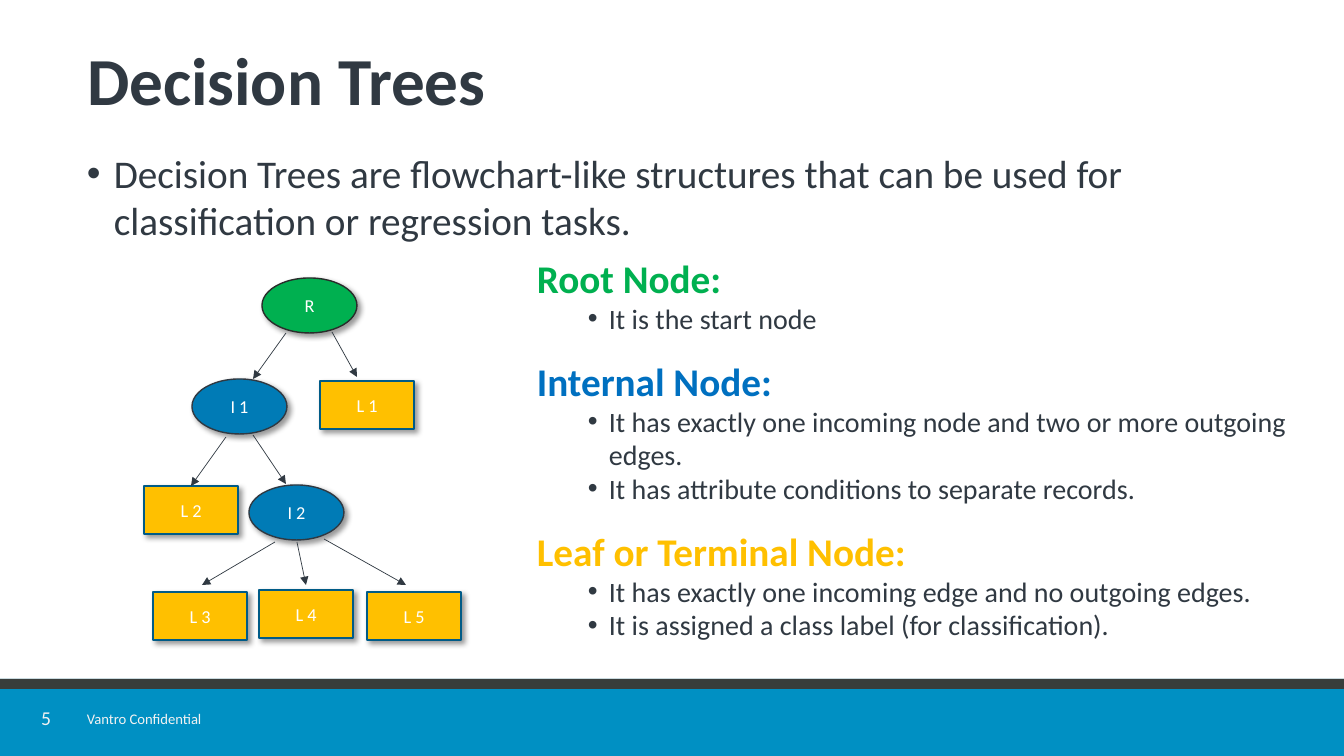
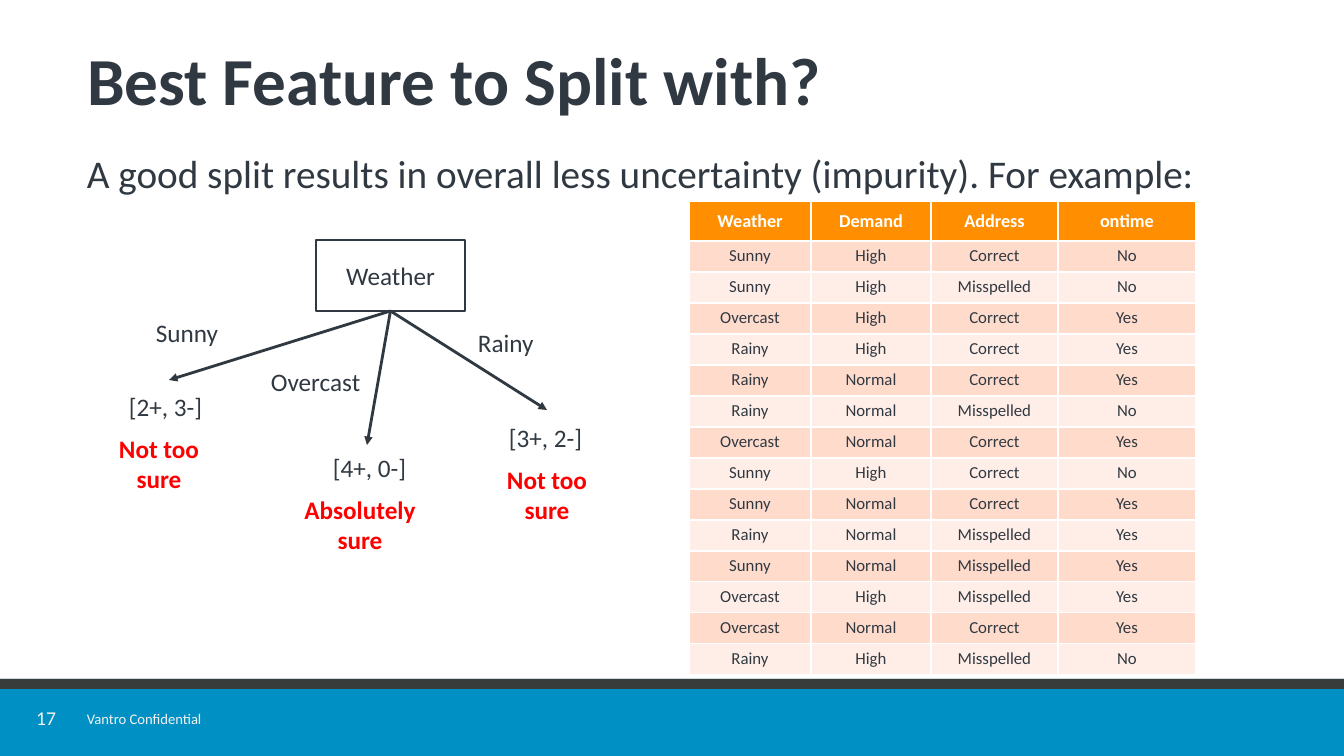
from lxml import etree
from pptx import Presentation
from pptx.dml.color import RGBColor
from pptx.enum.shapes import MSO_CONNECTOR, MSO_SHAPE
from pptx.enum.text import MSO_ANCHOR, PP_ALIGN
from pptx.oxml.ns import qn
from pptx.util import Pt

WIDTH, HEIGHT = 1344, 756
EMU_PER_PX = 12192000 / WIDTH
FONT = "Calibri"
TITLE_ONLY = 5
C = {
    "ink": "303942", "white": "FFFFFF", "footer": "F2F2F2",
    "band": "0090C3", "stripe": "383D3B",
    "root": "00B050", "root_line": "292D2B", "internal": "007BB6",
    "leaf": "FFC000", "leaf_line": "005B87", "internal_head": "0070C0",
    "alert": "FF0000", "table_head": "FF8E00",
    "row_dark": "FFDBCC", "row_light": "FFEEE7", "shadow": "000000",
}

NODE_KINDS = {
    "root": (MSO_SHAPE.OVAL, 95, 55, "root", "root_line"),
    "internal": (MSO_SHAPE.OVAL, 95, 55, "internal", "ink"),
    "leaf": (MSO_SHAPE.RECTANGLE, 94, 48, "leaf", "leaf_line"),
}
NODES = [
    ("R", "root", 262, 278), ("I 1", "internal", 192, 379),
    ("L 1", "leaf", 320, 381), ("L 2", "leaf", 144, 486),
    ("I 2", "internal", 249, 485), ("L 3", "leaf", 153, 592),
    ("L 4", "leaf", 259, 590), ("L 5", "leaf", 367, 592),
]
EDGES = [
    ((286, 333), (253, 379)), ((332, 332), (357, 377)),
    ((253, 435), (286, 484)), ((275, 542), (202, 585)),
    ((297, 542), (306, 585)), ((324, 539), (406, 585)),
]
DEFINITIONS = [
    ("Root Node:", "root", ["It is the start node"]),
    ("Internal Node:", "internal_head", [
        "It has exactly one incoming node and two or more outgoing edges.",
        "It has attribute conditions to separate records."]),
    ("Leaf or Terminal Node:", "leaf", [
        "It has exactly one incoming edge and no outgoing edges.",
        "It is assigned a class label (for classification)."]),
]

# branch label and place, arrow end, counts and place, verdict and left edge
BRANCHES = [
    ("Sunny", 146, 312, (169, 380), "[2+, 3-]", 119, 386, "Not too sure", 90),
    ("Overcast", 261, 361, (367, 445), "[4+, 0-]", 323, 447, "Absolutely sure", 291),
    ("Rainy", 468, 322, (547, 410), "[3+, 2-]", 499, 417, "Not too sure", 478),
]
COLUMN_WIDTHS = [122, 120, 127, 138]
RECORDS = [
    ("Weather", "Demand", "Address", "ontime"),
    ("Sunny", "High", "Correct", "No"),
    ("Sunny", "High", "Misspelled", "No"),
    ("Overcast", "High", "Correct", "Yes"),
    ("Rainy", "High", "Correct", "Yes"),
    ("Rainy", "Normal", "Correct", "Yes"),
    ("Rainy", "Normal", "Misspelled", "No"),
    ("Overcast", "Normal", "Correct", "Yes"),
    ("Sunny", "High", "Correct", "No"),
    ("Sunny", "Normal", "Correct", "Yes"),
    ("Rainy", "Normal", "Misspelled", "Yes"),
    ("Sunny", "Normal", "Misspelled", "Yes"),
    ("Overcast", "High", "Misspelled", "Yes"),
    ("Overcast", "Normal", "Correct", "Yes"),
    ("Rainy", "High", "Misspelled", "No"),
]


def px(*lengths):
    return [round(n * EMU_PER_PX) for n in lengths]


def rgb(name):
    return RGBColor.from_string(C[name])


def add_run(p, text, size, color="ink", bold=False):
    r = p.add_run()
    r.text = text
    r.font.name, r.font.size, r.font.bold = FONT, Pt(size), bold
    r.font.color.rgb = rgb(color)


def set_bullet(p, left, hang):
    pPr = p._p.get_or_add_pPr()
    margin, indent = px(left, -hang)
    pPr.set("marL", str(margin))
    pPr.set("indent", str(indent))
    etree.SubElement(pPr, qn("a:buFont")).set("typeface", "Arial")
    etree.SubElement(pPr, qn("a:buChar")).set("char", "•")


def add_text(s, box, text, size, color="ink", bold=False, align=PP_ALIGN.LEFT):
    tf = s.shapes.add_textbox(*px(*box)).text_frame
    tf.word_wrap = True
    p = tf.paragraphs[0]
    p.alignment = align
    add_run(p, text, size, color, bold)
    return tf


def add_box(shapes, kind, box, fill=None, line=None, line_width=1):
    sp = shapes.add_shape(kind, *px(*box))
    if fill:
        sp.fill.solid()
        sp.fill.fore_color.rgb = rgb(fill)
    else:
        sp.fill.background()
    if line:
        sp.line.color.rgb = rgb(line)
        sp.line.width = Pt(line_width)
    else:
        sp.line.fill.background()
    sp.shadow.inherit = False
    return sp


def label_shape(sp, text, size, color):
    tf = sp.text_frame
    tf.vertical_anchor = MSO_ANCHOR.MIDDLE
    p = tf.paragraphs[0]
    p.alignment = PP_ALIGN.CENTER
    add_run(p, text, size, color)


def add_drop_shadow(sp):
    effects = sp._element.spPr.find(qn("a:effectLst"))
    shadow = etree.SubElement(effects, qn("a:outerShdw"), blurRad=str(Pt(4)),
                              dist=str(Pt(3)), dir="2700000", algn="tl")
    color = etree.SubElement(shadow, qn("a:srgbClr"), val=C["shadow"])
    etree.SubElement(color, qn("a:alpha"), val="40000")


def add_arrow(shapes, start, end, width):
    arrow = shapes.add_connector(MSO_CONNECTOR.STRAIGHT, *px(*start, *end))
    arrow.line.color.rgb = rgb("ink")
    arrow.line.width = Pt(width)
    etree.SubElement(arrow.line._get_or_add_ln(), qn("a:tailEnd"), type="triangle")
    etree.SubElement(arrow._element.spPr, qn("a:effectLst"))
    return arrow


def add_base_slide(prs, title, number):
    """Add a slide with the shared title style, bottom band and footer."""
    s = prs.slides.add_slide(prs.slide_layouts[TITLE_ONLY])
    for top, height, fill in [(679, 77, "band"), (679, 10, "stripe")]:
        add_box(s.shapes, MSO_SHAPE.RECTANGLE, (0, top, WIDTH, height), fill)

    tf = add_text(s, (33, 708, 26, 23), str(number), 14, "footer", align=PP_ALIGN.CENTER)
    tf.margin_left = tf.margin_right = tf.margin_top = tf.margin_bottom = 0
    tf.vertical_anchor = MSO_ANCHOR.MIDDLE
    tf.paragraphs[0].line_spacing = 0.9
    tf = add_text(s, (77, 705, 161, 28), "Vantro Confidential", 10.5, "footer")
    tf.word_wrap = False

    heading = s.shapes.title
    heading.left, heading.top, heading.width, heading.height = px(77, 32, 1225, 109)
    tf = heading.text_frame
    tf.vertical_anchor = MSO_ANCHOR.MIDDLE
    p = tf.paragraphs[0]
    p.alignment, p.line_spacing = PP_ALIGN.LEFT, 0.8
    add_run(p, title, 48, bold=True)
    return s


def add_tree(s):
    shapes = s.shapes.add_group_shape().shapes
    nodes = {}
    for name, kind, left, top in NODES:
        preset, width, height, fill, line = NODE_KINDS[kind]
        sp = add_box(shapes, preset, (left, top, width, height), fill, line)
        add_drop_shadow(sp)
        label_shape(sp, name, 13, "white")
        nodes[name] = sp
    for start, end in EDGES:
        add_arrow(shapes, start, end, 0.5)
    add_arrow(shapes, (226, 437), (191, 486), 0.5).end_connect(nodes["L 2"], 0)


def add_definitions(s):
    tf = s.shapes.add_textbox(*px(527, 249, 797, 400)).text_frame
    tf.word_wrap = True
    for i, (term, color, facts) in enumerate(DEFINITIONS):
        p = tf.add_paragraph() if i else tf.paragraphs[0]
        if i:
            p.space_before = Pt(16)
        add_run(p, term, 28, color, bold=True)
        for fact in facts:
            p = tf.add_paragraph()
            p.level = 1
            set_bullet(p, 72, 21)
            add_run(p, fact, 20)


def add_split(s):
    root = add_box(s.shapes, MSO_SHAPE.RECTANGLE, (316, 240, 149, 71), line="ink", line_width=2)
    label_shape(root, "Weather", 18, "ink")
    for name, x, y, tip, counts, counts_x, counts_y, verdict, verdict_x in BRANCHES:
        add_arrow(s.shapes, (390, 311), tip, 2).begin_connect(root, 2)
        add_text(s, (x, y, 119, 40), name, 18)
        add_text(s, (counts_x, counts_y, 117, 40), counts, 18)
        add_text(s, (verdict_x, counts_y + 42, 138, 72), verdict, 18, "alert",
                 bold=True, align=PP_ALIGN.CENTER)


def add_records(s):
    head, row = 40, 31
    height = head + row * (len(RECORDS) - 1)
    table = s.shapes.add_table(len(RECORDS), len(COLUMN_WIDTHS),
                               *px(689, 201, sum(COLUMN_WIDTHS), height)).table
    for column, width in zip(table.columns, COLUMN_WIDTHS):
        column.width = px(width)[0]
    for i, record in enumerate(RECORDS):
        table.rows[i].height = px(row if i else head)[0]
        fill = ("row_dark" if i % 2 else "row_light") if i else "table_head"
        for j, value in enumerate(record):
            cell = table.cell(i, j)
            cell.fill.solid()
            cell.fill.fore_color.rgb = rgb(fill)
            p = cell.text_frame.paragraphs[0]
            p.alignment = PP_ALIGN.CENTER
            if i:
                add_run(p, value, 12)
            else:
                cell.vertical_anchor = MSO_ANCHOR.MIDDLE
                add_run(p, value, 13, "white", bold=True)


def main():
    prs = Presentation()
    prs.slide_width, prs.slide_height = px(WIDTH, HEIGHT)

    s = add_base_slide(prs, "Decision Trees", 5)
    tf = add_text(s, (77, 144, 1200, 105), "Decision Trees are flowchart-like structures "
                  "that can be used for classification or regression tasks.", 28)
    set_bullet(tf.paragraphs[0], 27, 27)
    add_tree(s)
    add_definitions(s)

    s = add_base_slide(prs, "Best Feature to Split with?", 17)
    add_text(s, (77, 144, 1225, 57), "A good split results in overall less uncertainty "
             "(impurity). For example:", 28)
    add_split(s)
    add_records(s)

    prs.save("out.pptx")


if __name__ == "__main__":
    main()
